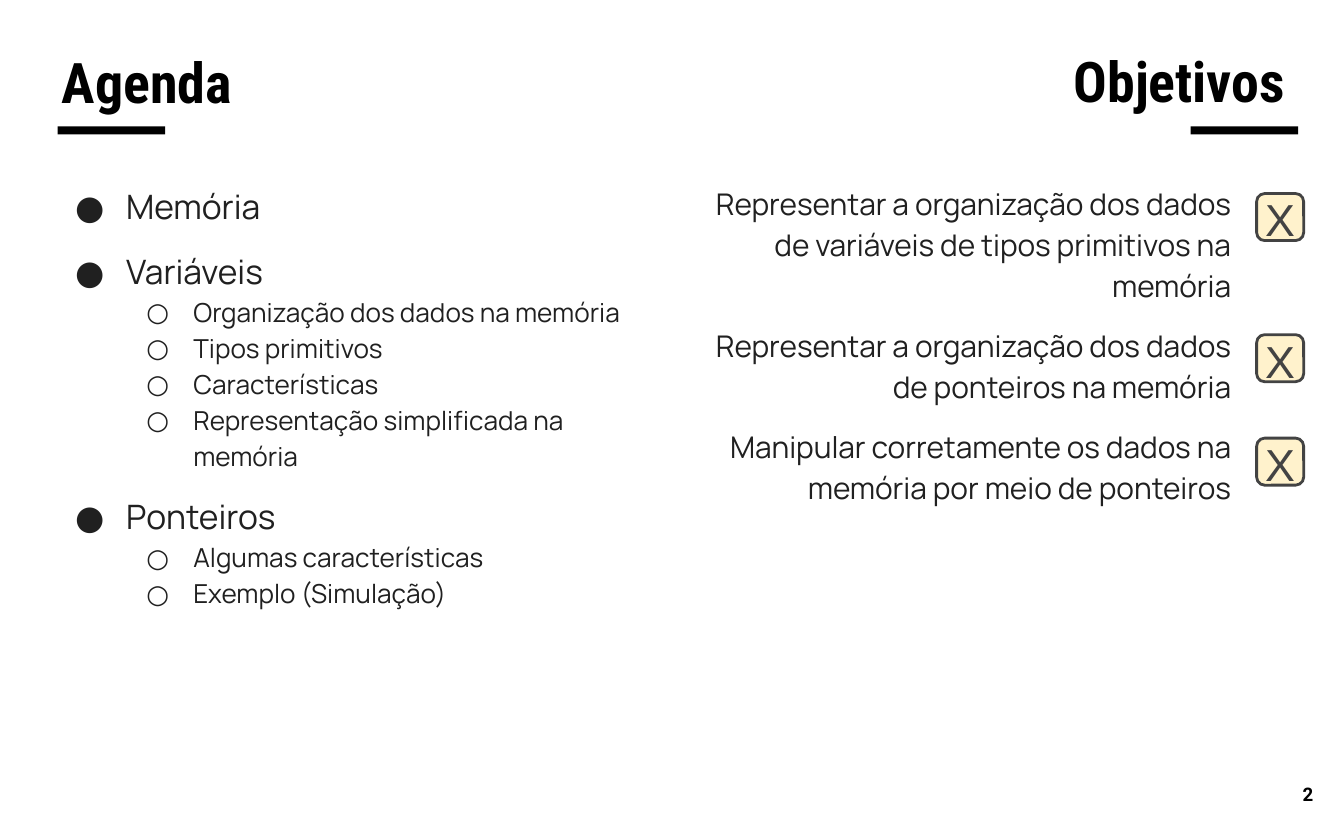
"""Build the agenda and objectives slide."""
from dataclasses import dataclass

from lxml.etree import SubElement
from pptx import Presentation
from pptx.dml.color import RGBColor
from pptx.enum.shapes import MSO_SHAPE as SHAPE
from pptx.enum.text import MSO_ANCHOR as ANCHOR, MSO_AUTO_SIZE as AUTO, PP_ALIGN as ALIGN
from pptx.oxml.ns import qn
from pptx.util import Inches, Pt

BLACK, INK, GREY, CREAM = "000000", "202020", "434343", "FFF2CC"


@dataclass(frozen=True)
class Style:
    """Font and alignment of a text."""
    font: str
    size: float
    color: str
    bold: bool = False
    align: ALIGN = ALIGN.LEFT


@dataclass(frozen=True)
class Bullet:
    """Bullet sign with its indents in inches."""
    char: str
    left: float
    hanging: float


@dataclass(frozen=True)
class Line:
    """One paragraph with its spacing in points."""
    text: str
    style: Style
    before: float = 0
    after: float = 0
    spacing: float = 1.0
    level: int = 0
    bullet: Bullet | None = None


HEADING = Style("Roboto Condensed", 30, BLACK, True)
HEADING_RIGHT = Style("Roboto Condensed", 30, BLACK, True, ALIGN.RIGHT)
TOPIC = Style("Manrope", 18, INK)
SUBTOPIC = Style("Manrope", 14, INK)
GOAL = Style("Manrope", 16, INK, align=ALIGN.RIGHT)
MARK = Style("Arial", 24, GREY, align=ALIGN.CENTER)
NUMBER = Style("Roboto", 10, BLACK, True, ALIGN.RIGHT)
BULLETS = (Bullet("●", 0.5, 0.38), Bullet("○", 1, 0.35))

AGENDA = {
    "Memória": [],
    "Variáveis": ["Organização dos dados na memória", "Tipos primitivos",
                  "Características", "Representação simplificada na memória"],
    "Ponteiros": ["Algumas características", "Exemplo (Simulação)"],
}
GOALS = {
    1.44: "Representar a organização dos dados de variáveis de tipos primitivos na memória",
    2.49: "Representar a organização dos dados de ponteiros na memória",
    3.26: "Manipular corretamente os dados na memória por meio de ponteiros",
}


def rgb(value: str) -> RGBColor:
    """Turn a hex string into a colour."""
    return RGBColor.from_string(value)


def assign(target, values: dict) -> None:
    """Set every attribute named in values."""
    for name, value in values.items():
        setattr(target, name, value)


def place(sp, left: float, top: float, width: float, height: float) -> None:
    """Move and size a shape, in inches."""
    assign(sp, {"left": Inches(left), "top": Inches(top),
                "width": Inches(width), "height": Inches(height)})


def add_bullet(p, bullet: Bullet, color: str) -> None:
    """Give a paragraph a hanging bullet."""
    pPr = p._p.get_or_add_pPr()
    pPr.set("marL", str(Inches(bullet.left)))
    pPr.set("indent", str(-Inches(bullet.hanging)))
    SubElement(SubElement(pPr, qn("a:buClr")), qn("a:srgbClr"), val=color)
    SubElement(pPr, qn("a:buFont"), typeface="Manrope")
    SubElement(pPr, qn("a:buChar"), char=bullet.char)


def write(sp, lines: list[Line], inset: float = 0.1, anchor: ANCHOR = ANCHOR.TOP) -> None:
    """Fill a text frame with paragraphs."""
    tf = sp.text_frame
    margins = {f"margin_{side}": Inches(inset) for side in ("left", "top", "right", "bottom")}
    assign(tf, {"word_wrap": True, "auto_size": AUTO.NONE, "vertical_anchor": anchor, **margins})
    for i, line in enumerate(lines):
        p = tf.add_paragraph() if i else tf.paragraphs[0]
        assign(p, {"alignment": line.style.align, "level": line.level,
                   "line_spacing": line.spacing, "space_before": Pt(line.before),
                   "space_after": Pt(line.after)})
        if line.bullet:
            add_bullet(p, line.bullet, line.style.color)
        r = p.add_run()
        r.text = line.text
        assign(r.font, {"name": line.style.font, "size": Pt(line.style.size),
                        "bold": line.style.bold})
        r.font.color.rgb = rgb(line.style.color)


def add_text(shapes, box: tuple, lines: list[Line], inset: float = 0.1,
             anchor: ANCHOR = ANCHOR.TOP) -> None:
    """Add a text box."""
    sp = shapes.add_textbox(*map(Inches, box))
    write(sp, lines, inset, anchor)


def add_box(shapes, kind: SHAPE, box: tuple, fill: str, line: str | None = None):
    """Add a filled shape with an optional outline."""
    sp = shapes.add_shape(kind, *map(Inches, box))
    sp.shadow.inherit = False
    sp.fill.solid()
    sp.fill.fore_color.rgb = rgb(fill)
    if line:
        sp.line.color.rgb = rgb(line)
        sp.line.width = Pt(1.5)
    else:
        sp.line.fill.background()
    return sp


def add_checkbox(shapes, top: float) -> None:
    """Add a grouped box marked with an X."""
    group = shapes.add_group_shape().shapes
    sp = add_box(group, SHAPE.ROUNDED_RECTANGLE, (9.35, top, 0.35, 0.35), CREAM, GREY)
    sp.adjustments[0] = 0.17
    add_text(group, (9.35, top - 0.01, 0.35, 0.37), [Line("X", MARK)], inset=0)


def agenda_lines() -> list[Line]:
    """List the topics with their subtopics."""
    lines = []
    for topic, subtopics in AGENDA.items():
        lines.append(Line(topic, TOPIC, 10 if lines else 0, spacing=1.15, bullet=BULLETS[0]))
        lines += [Line(text, SUBTOPIC, spacing=1.15, level=1, bullet=BULLETS[1])
                  for text in subtopics]
    return lines


def goal_lines() -> list[Line]:
    """List the objectives."""
    return [Line(text, GOAL, 10 if i else 0, spacing=1.15)
            for i, text in enumerate(GOALS.values())]


def main() -> None:
    """Build and save the slide."""
    prs = Presentation()
    assign(prs, {"slide_width": Inches(10), "slide_height": Inches(6.25)})
    s = prs.slides.add_slide(prs.slide_layouts[5])
    for left in (0.43, 8.86):
        add_box(s.shapes, SHAPE.RECTANGLE, (left, 0.94, 0.8, 0.06), BLACK)
    title = s.shapes.title
    place(title, 0.36, 0.25, 4.65, 0.7)
    write(title, [Line("Agenda", HEADING)])
    add_text(s.shapes, (0.34, 1.24, 4.65, 4.53), agenda_lines())
    add_text(s.shapes, (9.27, 5.67, 0.6, 0.48), [Line("2", NUMBER)], anchor=ANCHOR.MIDDLE)
    add_text(s.shapes, (5.01, 0.25, 4.65, 0.7), [Line("Objetivos", HEADING_RIGHT)])
    add_text(s.shapes, (5.11, 1.24, 4.15, 4.53), goal_lines())
    for top in GOALS:
        add_checkbox(s.shapes, top)
    prs.save("out.pptx")


main()
